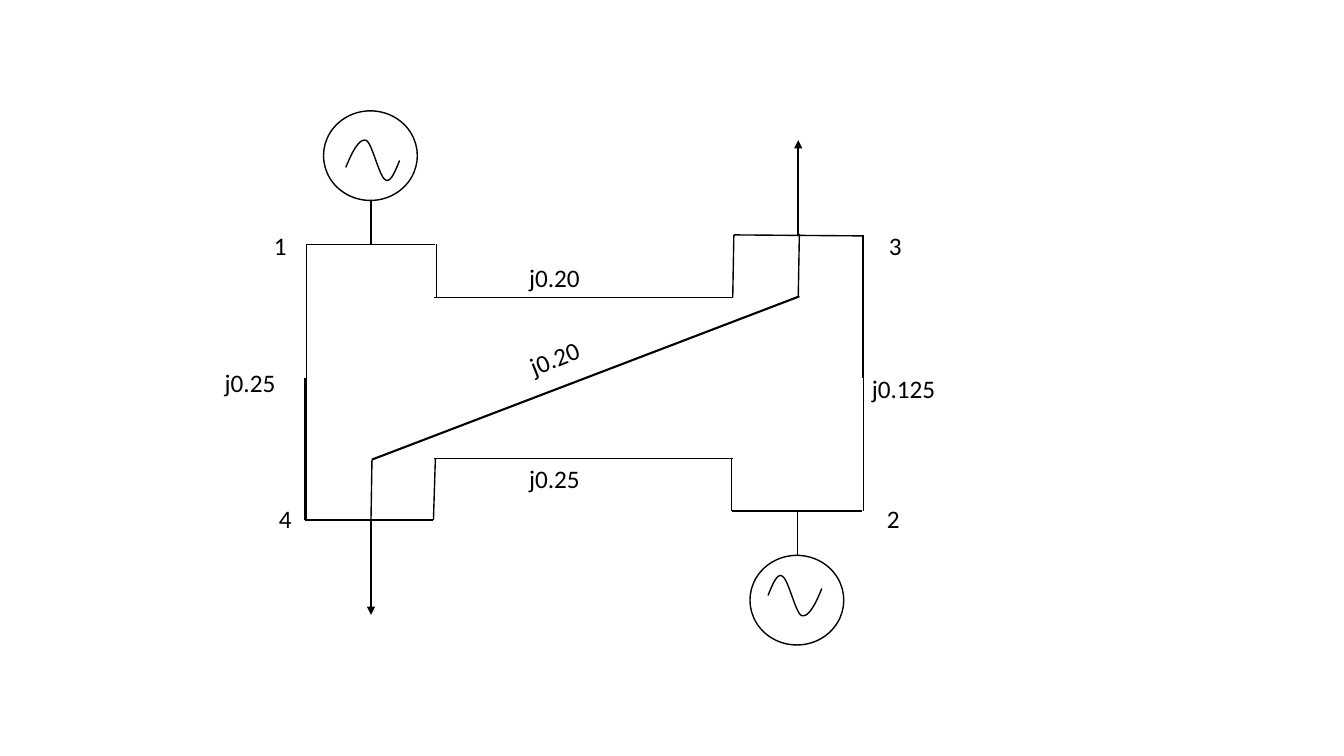
from dataclasses import dataclass

from lxml.etree import SubElement
from pptx import Presentation
from pptx.dml.color import RGBColor
from pptx.enum.shapes import MSO_CONNECTOR, MSO_SHAPE
from pptx.enum.text import MSO_AUTO_SIZE
from pptx.oxml.ns import qn
from pptx.util import Pt

COLORS = {"ink": "000000"}
INK = RGBColor.from_string(COLORS["ink"])
FONT = "Calibri"
THIN, THICK = 1, 1.5
LABEL_HEIGHT = 29
BUS_WIDTH, IMPEDANCE_WIDTH = 23.8, 51.1
STEPS_PER_CURVE = 12


@dataclass(frozen=True)
class Generator:
    """A source symbol: circle and sine wave positions."""
    left: float
    top: float
    wave_left: float
    wave_top: float
    rotation: float = 0


@dataclass(frozen=True)
class Wire:
    """A straight conductor from (x1, y1) to (x2, y2)."""
    x1: float
    y1: float
    x2: float
    y2: float
    width: float = THIN
    arrow: bool = False


@dataclass(frozen=True)
class Label:
    """A bus number or line impedance."""
    text: str
    left: float
    top: float
    width: float
    rotation: float = 0
    wrap: bool = False


GENERATORS = [
    Generator(231.1, 79.2, 247, 100.1),
    Generator(535.7, 396.7, 548.6, 411.1, 180),
]

# Bézier segments of the sine wave: two handles and an end point each
WAVE_START = (0, 19.4)
WAVE_CURVES = [
    ((4.3, 8.6), (9.4, -1.4), (14.4, 0)),
    ((18.7, 1.4), (23.8, 25.9), (28.1, 28.1)),
    ((31.7, 31), (35.3, 22.3), (38.4, 14.4)),
]

WIRES = [
    # Generator leads
    Wire(265, 143.3, 265, 175),
    Wire(569.5, 396.7, 569.5, 364.7),
    # Buses 1 to 4
    Wire(311, 174.6, 218.9, 174.6),
    Wire(522.7, 365, 616, 365),
    Wire(616.3, 168.5, 524.2, 167.8),
    Wire(218.2, 371.5, 309.6, 371.5),
    # Line 1-3
    Wire(311.8, 174.2, 311.8, 212.4),
    Wire(310.3, 212.4, 523.4, 212.4),
    Wire(524.2, 167.8, 523.4, 212.4),
    # Line 4-2
    Wire(309.6, 371.5, 311, 327.6),
    Wire(523.4, 327.6, 310.3, 327.6),
    Wire(522.7, 365, 522.7, 327.6),
    # Lines 1-4 and 3-2
    Wire(218.9, 175, 218.9, 270.7),
    Wire(218.2, 371.5, 218.2, 270, THICK),
    Wire(616.3, 167.8, 616.3, 270, THICK),
    Wire(617, 365, 617, 269.3),
    # Line 4-3
    Wire(265, 372.2, 265.7, 328.3),
    Wire(265.7, 328.3, 571, 211.7, THICK),
    Wire(570.2, 211.7, 571, 167),
    # Loads
    Wire(570.2, 167.8, 570.2, 100.1, THICK, True),
    Wire(265, 371.5, 265, 439.2, THICK, True),
]

LABELS = [
    Label("1", 188.6, 160.6, BUS_WIDTH),
    Label("2", 626.4, 355.7, BUS_WIDTH),
    Label("3", 627.8, 161.3, BUS_WIDTH),
    Label("4", 192.2, 355.7, BUS_WIDTH),
    Label("j0.20", 370.8, 183.6, IMPEDANCE_WIDTH),
    Label("j0.20", 370.8, 241.2, IMPEDANCE_WIDTH, 338.4),
    Label("j0.25", 370.8, 327.6, IMPEDANCE_WIDTH),
    Label("j0.25", 153.4, 258.5, IMPEDANCE_WIDTH),
    Label("j0.125", 615.6, 262.8, 92.2, wrap=True),
]


def wave_points() -> list[tuple[int, int]]:
    """Sample the sine wave's curves as points along its outline."""
    points = []
    start = WAVE_START
    for first, second, end in WAVE_CURVES:
        for step in range(1, STEPS_PER_CURVE + 1):
            t = step / STEPS_PER_CURVE
            u = 1 - t
            x, y = (
                u**3 * a + 3 * u * u * t * b + 3 * u * t * t * c + t**3 * d
                for a, b, c, d in zip(start, first, second, end)
            )
            points.append((Pt(x), Pt(y)))
        start = end
    return points


def outline(symbol) -> None:
    """Give a symbol a thin unfilled outline."""
    symbol.fill.background()
    symbol.line.color.rgb = INK
    symbol.line.width = Pt(THIN)
    symbol.shadow.inherit = False


def draw_generator(slide, generator: Generator) -> None:
    """Draw the circle and its sine wave."""
    circle = slide.shapes.add_shape(
        MSO_SHAPE.OVAL, Pt(generator.left), Pt(generator.top), Pt(67), Pt(64))
    builder = slide.shapes.build_freeform(*(Pt(v) for v in WAVE_START))
    builder.add_line_segments(wave_points(), close=False)
    wave = builder.convert_to_shape()
    wave.left, wave.top = Pt(generator.wave_left), Pt(generator.wave_top)
    for symbol in (circle, wave):
        symbol.rotation = generator.rotation
        outline(symbol)


def draw_wire(slide, wire: Wire) -> None:
    """Draw a conductor, with an arrowhead where it feeds a load."""
    connector = slide.shapes.add_connector(
        MSO_CONNECTOR.STRAIGHT,
        Pt(wire.x1), Pt(wire.y1), Pt(wire.x2), Pt(wire.y2))
    connector.line.color.rgb = INK
    connector.line.width = Pt(wire.width)
    if wire.arrow:
        SubElement(connector.line._get_or_add_ln(), qn("a:tailEnd"),
                   type="triangle")
    SubElement(connector._element.spPr, qn("a:effectLst"))


def draw_label(slide, label: Label) -> None:
    """Write a bus number or impedance."""
    box = slide.shapes.add_textbox(
        Pt(label.left), Pt(label.top), Pt(label.width), Pt(LABEL_HEIGHT))
    box.rotation = label.rotation
    frame = box.text_frame
    frame.word_wrap = label.wrap
    frame.auto_size = MSO_AUTO_SIZE.SHAPE_TO_FIT_TEXT
    frame.text = label.text
    font = frame.paragraphs[0].runs[0].font
    font.name, font.size, font.color.rgb = FONT, Pt(18), INK


def main() -> None:
    """Build the four-bus network slide."""
    presentation = Presentation()
    presentation.slide_width, presentation.slide_height = Pt(960), Pt(540)
    slide = presentation.slides.add_slide(presentation.slide_layouts[6])
    for generator in GENERATORS:
        draw_generator(slide, generator)
    for wire in WIRES:
        draw_wire(slide, wire)
    for label in LABELS:
        draw_label(slide, label)
    presentation.save("out.pptx")


main()
